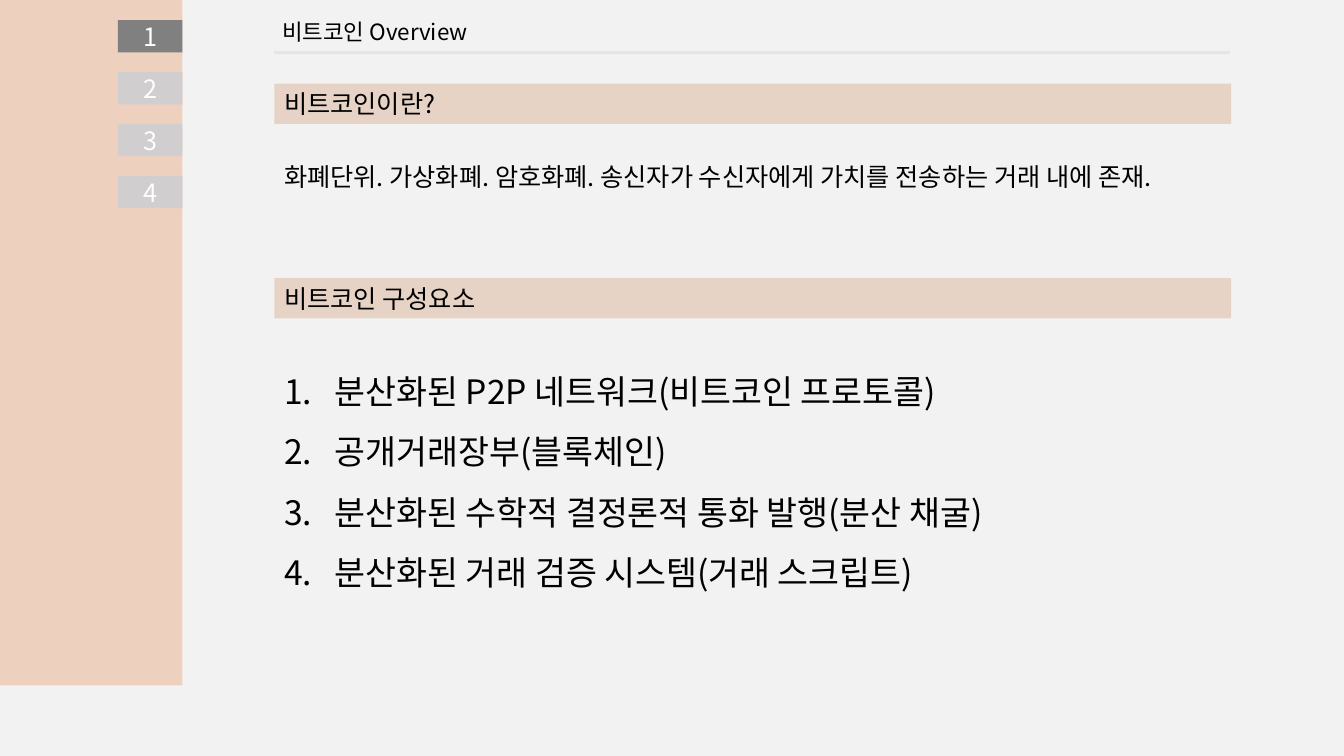
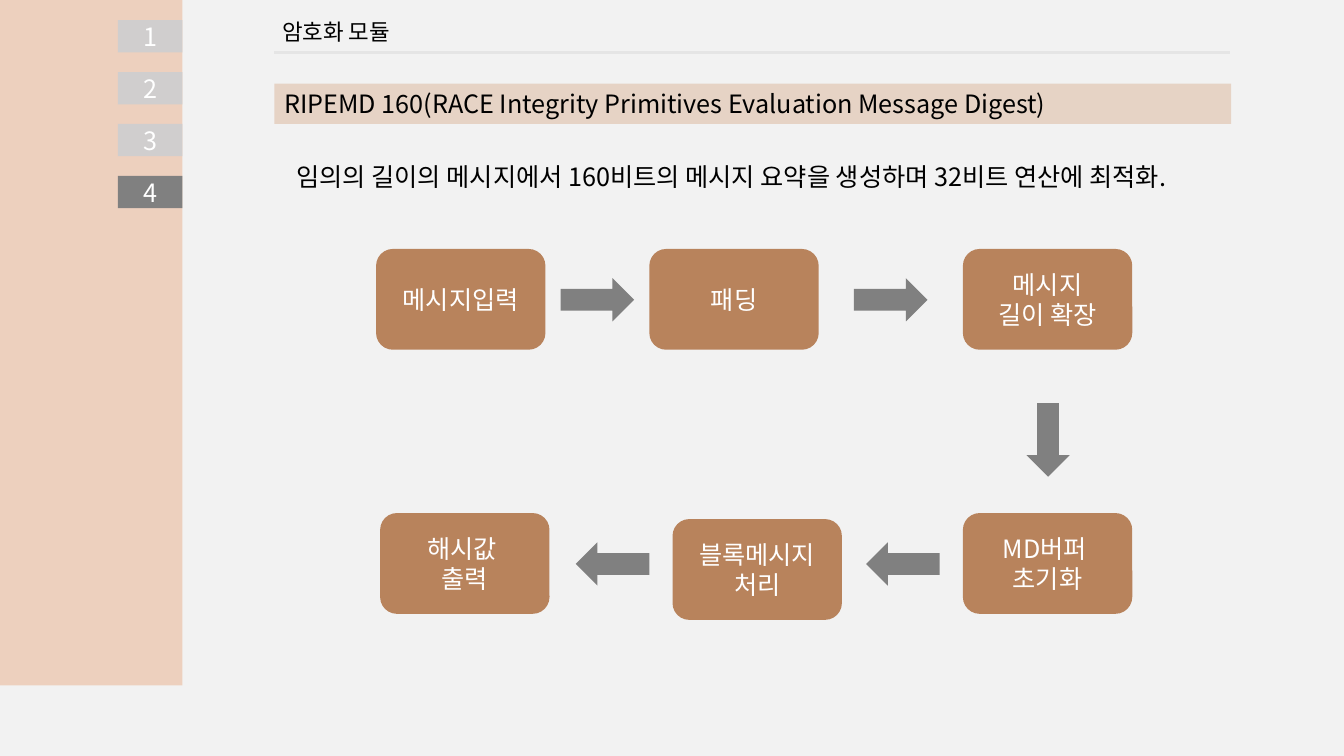
import pptx
import pptx.dml.color
import pptx.enum.shapes
import pptx.enum.text
import pptx.oxml
import pptx.oxml.ns
import pptx.util

Inches = pptx.util.Inches
RGBColor = pptx.dml.color.RGBColor
SHAPE = pptx.enum.shapes.MSO_SHAPE
ALIGN = pptx.enum.text.PP_ALIGN
ANCHOR = pptx.enum.text.MSO_ANCHOR

FONT = "Noto Sans CJK KR"
BLACK = RGBColor(0x00, 0x00, 0x00)
WHITE = RGBColor(0xFF, 0xFF, 0xFF)
PAPER = RGBColor(0xF2, 0xF2, 0xF2)
SIDEBAR = RGBColor(0xED, 0xD0, 0xBE)
BAND = RGBColor(0xE6, 0xD3, 0xC5)
BROWN = RGBColor(0xB8, 0x83, 0x5C)
GRAY = RGBColor(0x80, 0x80, 0x80)
TAB_IDLE = RGBColor(0xD0, 0xCE, 0xCE)
RULE = RGBColor(0xE5, 0xE5, 0xE5)

LEFT, WIDTH = 2.72, 9.49
STEP_WIDTH, STEP_HEIGHT = 1.68, 1
ARROW_WIDTH, ARROW_HEIGHT = 0.73, 0.43


def write(box, text, size=18, color=BLACK, align=ALIGN.LEFT, anchor=ANCHOR.TOP,
          spacing=1.0, numbered=False):
    """Fill the box with one paragraph for each line of the text."""
    frame = box.text_frame
    frame.word_wrap = True
    frame.auto_size = pptx.enum.text.MSO_AUTO_SIZE.NONE
    frame.vertical_anchor = anchor
    frame.text = text
    for para in frame.paragraphs:
        para.alignment = align
        para.line_spacing = spacing
        if numbered:
            properties = para._p.get_or_add_pPr()
            properties.set("marL", str(Inches(0.5)))
            properties.set("indent", str(-Inches(0.5)))
            number = pptx.oxml.parse_xml(
                f'<a:buAutoNum {pptx.oxml.ns.nsdecls("a")} type="arabicPeriod"/>')
            properties.append(number)
        for span in para.runs:
            span.font.name = FONT
            span.font.size = pptx.util.Pt(size)
            span.font.color.rgb = color
            east_asian = pptx.oxml.parse_xml(
                f'<a:ea {pptx.oxml.ns.nsdecls("a")} typeface="{FONT}"/>')
            span.font._element.find(pptx.oxml.ns.qn("a:latin")).addnext(east_asian)


def add_block(page, kind, left, top, width, height, fill):
    """Add a preset shape with a flat fill, no outline and no shadow."""
    box = page.shapes.add_shape(
        kind, Inches(left), Inches(top), Inches(width), Inches(height))
    box.shadow.inherit = False
    box.fill.solid()
    box.fill.fore_color.rgb = fill
    box.line.fill.background()
    return box


deck = pptx.Presentation()
deck.slide_width = Inches(13.33)
deck.slide_height = Inches(7.5)
background = deck.slide_master.background.fill
background.solid()
background.fore_color.rgb = PAPER

# Each slide: title, active tab, headings (top, text), sentence (left, text)
contents = [
    ("비트코인 Overview", 1,
     [(0.83, "비트코인이란?"), (2.76, "비트코인 구성요소")],
     (LEFT, "화폐단위. 가상화폐. 암호화폐. 송신자가 수신자에게 가치를 전송하는 거래 내에 존재.")),
    ("암호화 모듈", 4,
     [(0.83, "RIPEMD 160(RACE Integrity Primitives Evaluation Message Digest)")],
     (2.84, "임의의 길이의 메시지에서 160비트의 메시지 요약을 생성하며 32비트 연산에 최적화.")),
]

pages = []
for title_text, active_tab, headings, (sentence_left, sentence_text) in contents:
    page = deck.slides.add_slide(deck.slide_layouts[5])
    pages.append(page)

    title = page.shapes.title
    title.left, title.top = Inches(2.7), Inches(0)
    title.width, title.height = Inches(4.76), Inches(0.5)
    write(title, title_text, size=16, spacing=1.5)

    add_block(page, SHAPE.RECTANGLE, 0, -0.02, 1.81, 6.82, SIDEBAR)
    rule = page.shapes.add_connector(
        pptx.enum.shapes.MSO_CONNECTOR.STRAIGHT,
        Inches(LEFT), Inches(0.52), Inches(12.2), Inches(0.52))
    rule.line.color.rgb = RULE
    rule.line.width = pptx.util.Pt(2)
    rule._element.spPr.append(
        pptx.oxml.parse_xml(f'<a:effectLst {pptx.oxml.ns.nsdecls("a")}/>'))

    for number in range(1, 5):
        fill = GRAY if number == active_tab else TAB_IDLE
        tab = add_block(page, SHAPE.RECTANGLE,
                        1.17, 0.2 + (number - 1) * 0.515, 0.64, 0.32, fill)
        write(tab, str(number), color=WHITE, align=ALIGN.CENTER, anchor=ANCHOR.MIDDLE)

    for top, heading_text in headings:
        heading = add_block(page, SHAPE.RECTANGLE, LEFT, top, WIDTH, 0.4, BAND)
        write(heading, heading_text, anchor=ANCHOR.MIDDLE)

    sentence = page.shapes.add_textbox(
        Inches(sentence_left), Inches(1.55), Inches(WIDTH), Inches(0.71))
    write(sentence, sentence_text)

overview, module = pages

components = overview.shapes.add_textbox(
    Inches(LEFT), Inches(3.43), Inches(9.21), Inches(2.52))
write(components,
      "분산화된 P2P 네트워크(비트코인 프로토콜)\n"
      "공개거래장부(블록체인)\n"
      "분산화된 수학적 결정론적 통화 발행(분산 채굴)\n"
      "분산화된 거래 검증 시스템(거래 스크립트)",
      size=24, spacing=1.5, numbered=True)

steps = [
    (3.73, 2.47, "메시지입력"),
    (6.44, 2.47, "패딩"),
    (9.55, 2.47, "메시지\n길이 확장"),
    (9.55, 5.09, "MD버퍼 \n초기화"),
    (6.67, 5.15, "블록메시지\n처리"),
    (3.77, 5.09, "해시값 \n출력"),
]
for left, top, step_text in steps:
    step = add_block(module, SHAPE.ROUNDED_RECTANGLE,
                     left, top, STEP_WIDTH, STEP_HEIGHT, BROWN)
    write(step, step_text, color=WHITE, align=ALIGN.CENTER, anchor=ANCHOR.MIDDLE)

arrows = [
    (5.56, 2.76, 0),
    (8.47, 2.76, 0),
    (10.03, 4.15, 90),
    (8.59, 5.38, 180),
    (5.71, 5.38, 180),
]
for left, top, rotation in arrows:
    arrow = add_block(module, SHAPE.RIGHT_ARROW,
                      left, top, ARROW_WIDTH, ARROW_HEIGHT, GRAY)
    arrow.rotation = rotation

deck.save("out.pptx")
